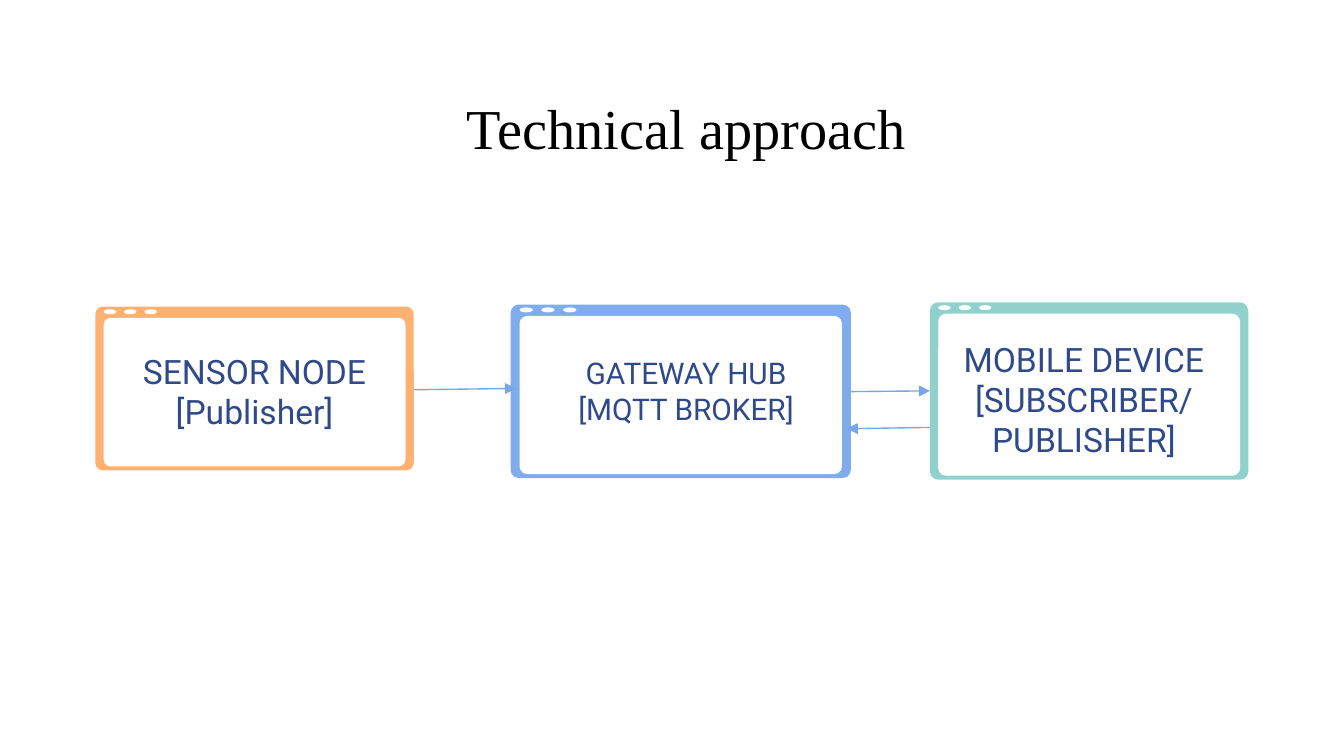
from lxml.etree import SubElement
from pptx import Presentation
from pptx.dml.color import RGBColor
from pptx.enum.shapes import MSO_CONNECTOR, MSO_SHAPE
from pptx.enum.text import MSO_ANCHOR, PP_ALIGN
from pptx.oxml.ns import qn
from pptx.util import Pt

WHITE, NAVY, BLUE = "FFFFFF", "2F4A8A", "78A7E8"


def color(code):
    return RGBColor.from_string(code)


def write(shape, text, size, font, code):
    frame = shape.text_frame
    frame.word_wrap = True
    frame.vertical_anchor = MSO_ANCHOR.TOP
    frame.margin_left = frame.margin_right = Pt(7.2)
    frame.margin_top = frame.margin_bottom = Pt(7.2)
    frame.text = text
    for para in frame.paragraphs:
        para.alignment = PP_ALIGN.CENTER
        for run in para.runs:
            run.font.size = Pt(size)
            run.font.name = font
            run.font.color.rgb = color(code)


def add_head(slide, box, text):
    head = slide.shapes.title
    head.left, head.top, head.width, head.height = map(Pt, box)
    write(head, text, 30.2, "Times New Roman", "000000")
    head.text_frame.margin_top = Pt(10.8)


def add_block(slide, kind, box, code, round_by=None):
    shape = slide.shapes.add_shape(kind, *map(Pt, box))
    shape.shadow.inherit = False
    shape.fill.solid()
    shape.fill.fore_color.rgb = color(code)
    shape.line.fill.background()
    if round_by:
        shape.adjustments[0] = round_by


def add_window(slide, box, code):
    left, top, width, height = box
    side = width * 0.026
    # Frame and pane
    add_block(slide, MSO_SHAPE.ROUNDED_RECTANGLE, box, code, 0.046)
    pane = (left + side, top + 6.1, width - 2 * side, height - 8.2)
    add_block(slide, MSO_SHAPE.ROUNDED_RECTANGLE, pane, WHITE, 0.048)
    # Three dots in the top bar
    for i in range(3):
        dot = (left + side + i * width * 0.064, top + 1.5, width * 0.039, 2.7)
        add_block(slide, MSO_SHAPE.OVAL, dot, WHITE)


def add_label(slide, box, text, size):
    label = slide.shapes.add_textbox(*map(Pt, box))
    write(label, text, size, "Roboto", NAVY)


def add_arrow(slide, start, end):
    arrow = slide.shapes.add_connector(
        MSO_CONNECTOR.STRAIGHT, *map(Pt, start + end))
    arrow.line.color.rgb = color(BLUE)
    arrow.line.width = Pt(0.75)
    SubElement(arrow.line._get_or_add_ln(), qn("a:tailEnd"), type="triangle")
    SubElement(arrow._element.spPr, qn("a:effectLst"))


def main():
    deck = Presentation()
    deck.slide_width, deck.slide_height = Pt(720), Pt(405)
    slide = deck.slides.add_slide(deck.slide_layouts[5])
    add_head(slide, (32.4, 38.9, 671, 45.4), "Technical approach")

    # Window box, frame colour, label box, label, text size
    nodes = [
        ((51.1, 164.2, 170.6, 87.8), "FFB172",
         (51.1, 180.7, 170.6, 57.6), "SENSOR NODE\n[Publisher]", 18),
        ((273.6, 163.2, 182.2, 92.9), "7EACEC",
         (276.5, 182.9, 182.2, 51.1), "GATEWAY HUB\n[MQTT BROKER]", 16),
        ((498.2, 162, 170.6, 95), "90D1CB",
         (495.4, 174.2, 170.6, 67.7),
         "MOBILE DEVICE\n[SUBSCRIBER/\nPUBLISHER]", 18),
    ]
    for box, code, place, text, size in nodes:
        add_window(slide, box, code)
        add_label(slide, place, text, size)

    # Message flow
    add_arrow(slide, (221.8, 208.8), (276.5, 208.1))
    add_arrow(slide, (498.2, 229), (453.6, 229.7))
    add_arrow(slide, (455.8, 209.8), (498.2, 209.4))

    deck.save("out.pptx")


if __name__ == "__main__":
    main()
